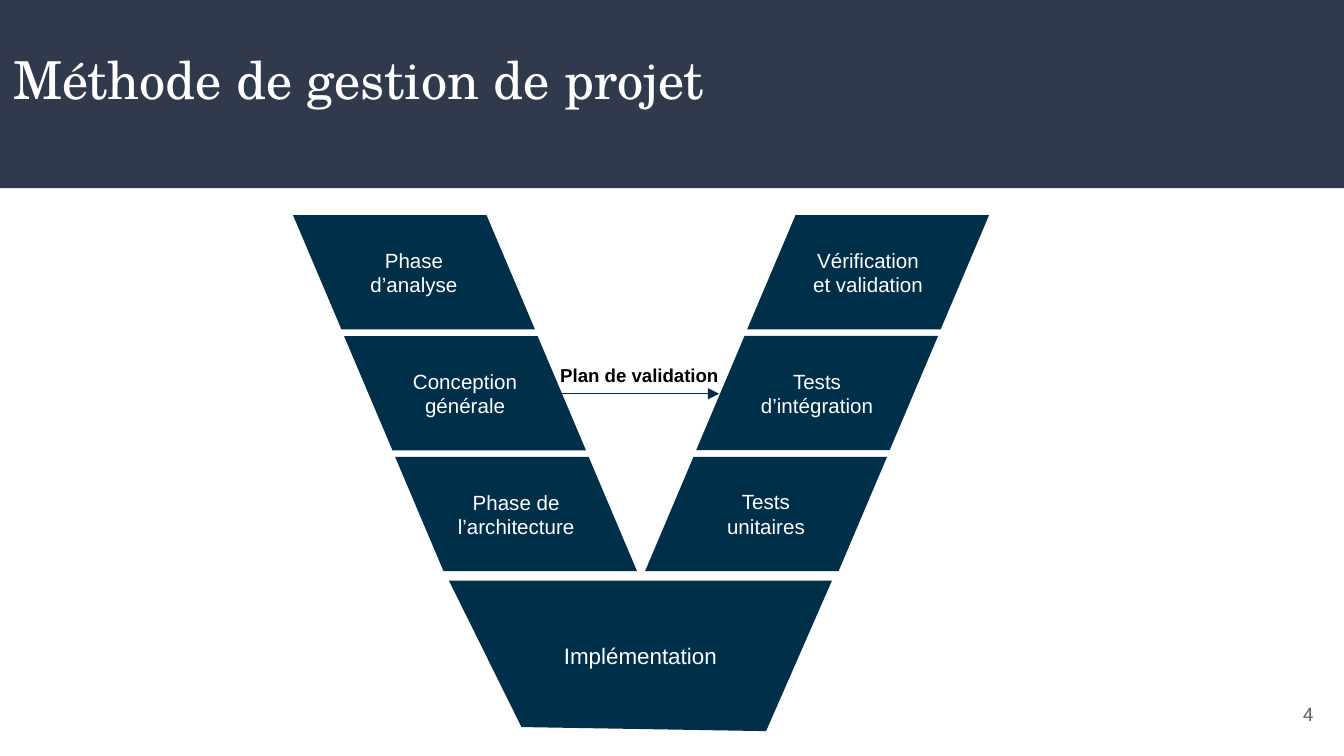
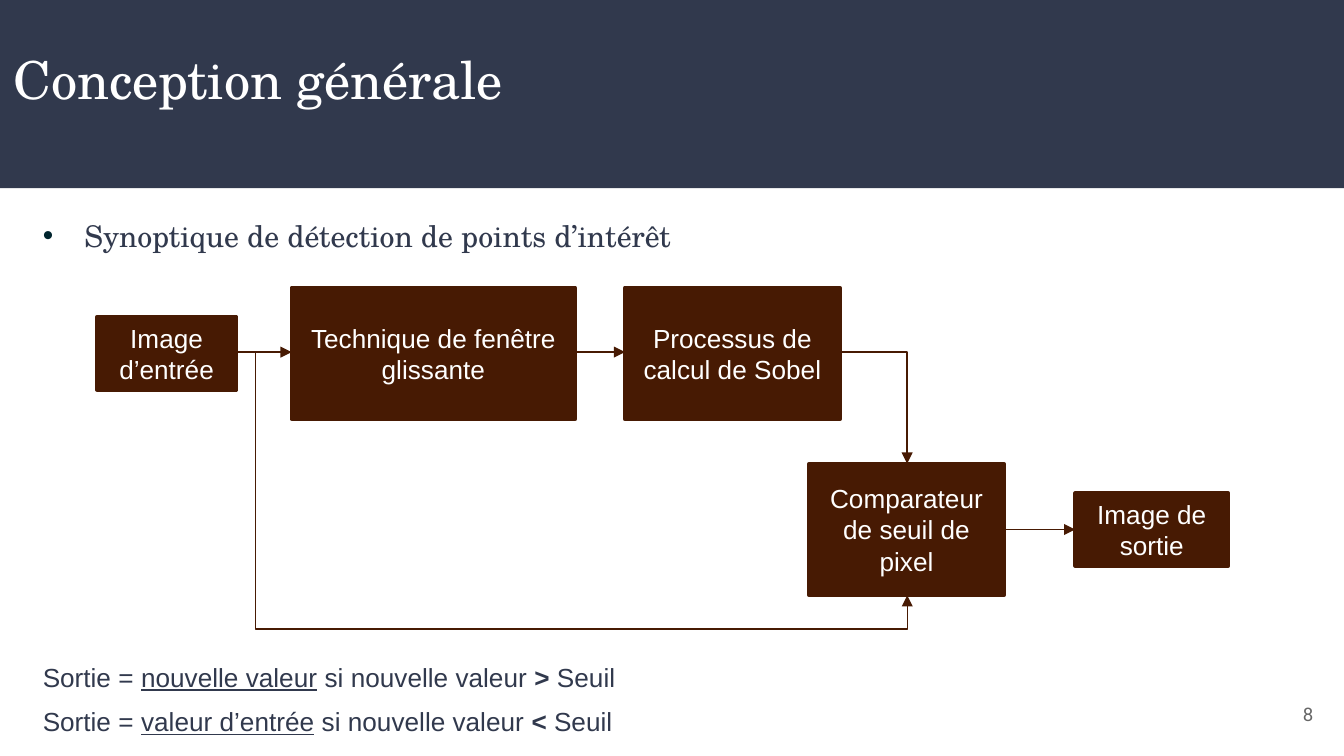
from lxml import etree
from pptx import Presentation
from pptx.dml.color import RGBColor
from pptx.enum.shapes import MSO_CONNECTOR as Connector, MSO_SHAPE as Shape
from pptx.enum.text import MSO_ANCHOR as Anchor, MSO_AUTO_SIZE as AutoSize, PP_ALIGN as Align
from pptx.oxml.ns import qn
from pptx.util import Inches, Pt

rgb = RGBColor.from_string
NAVY, WHITE, GREY, BLACK = "31394D", "FFFFFF", "666666", "000000"
V_BLUE, ARROW_BLUE, BROWN, BULLET = "002F4A", "002E48", "471A03", "00252E"
SERIF, SANS, NUMBER_FONT = "TeX Gyre Schola", "Arial", "Roboto"


def write(box, spans, size, color, font=SANS, align=Align.LEFT,
          anchor=Anchor.TOP, inset=0.05, wrap=True):
    """Fill a shape with one paragraph of (text, style) spans; style is "", "b" or "u"."""
    frame = box.text_frame
    frame.auto_size = AutoSize.NONE
    frame.word_wrap = wrap
    frame.vertical_anchor = anchor
    frame.margin_left = frame.margin_right = Inches(0.1)
    frame.margin_top = frame.margin_bottom = Inches(inset)
    para = frame.paragraphs[0]
    para.alignment = align
    for text, style in spans:
        span = para.add_run()
        span.text = text
        span.font.name = font
        span.font.size = Pt(size)
        span.font.color.rgb = rgb(color)
        span.font.bold = style == "b"
        span.font.underline = style == "u"
    return para


def add_arrow(shapes, kind, start, end, color):
    points = [Inches(value) for value in (*start, *end)]
    arrow = shapes.add_connector(kind, *points)
    arrow.line.color.rgb = rgb(color)
    arrow.line.width = Pt(0.75)
    properties = arrow.element.spPr
    etree.SubElement(properties.find(qn("a:ln")), qn("a:tailEnd"), type="triangle")
    etree.SubElement(properties, qn("a:effectLst"))
    return arrow


# Widescreen deck, 16:9
deck = Presentation()
deck.slide_width, deck.slide_height = Inches(10), Inches(10 * 9 / 16)
layout = deck.slide_layouts[5]

# Titles and page numbers
pages = []
for heading, number in [("Méthode de gestion de projet", "4"), ("Conception générale", "8")]:
    page = deck.slides.add_slide(layout)
    title = page.shapes.title
    title.left, title.top = Inches(0), Inches(0.25)
    title.width, title.height = Inches(10), Inches(0.98)
    write(title, [(heading, "")], 28, WHITE, SERIF, inset=0.1)
    box = page.shapes.add_textbox(Inches(9.27), Inches(5.1), Inches(0.6), Inches(0.43))
    write(box, [(number, "")], 10, GREY, NUMBER_FONT, Align.RIGHT, Anchor.MIDDLE, 0.1)
    pages.append(page)
method, design = pages

# Title band, moved to the back of the shared layout
band = method.shapes.add_shape(Shape.RECTANGLE, 0, 0, Inches(10), Inches(1.4))
band.shadow.inherit = False
band.fill.solid()
band.fill.fore_color.rgb = rgb(NAVY)
band.line.fill.background()
layout.shapes.element.insert(2, band.element)

# Slide 1: V cycle, descending phases on the left and tests on the right
cycle = method.shapes.add_group_shape().shapes
phases = ["Phase d’analyse", "Conception générale", "Phase de l’architecture"]
tests = ["Vérification et validation", "Tests d’intégration", "Tests unitaires"]
blocks = []
for labels, first_left, step, mirrored in [(phases, 2.18, 0.38, True),
                                           (tests, 5.56, -0.38, False)]:
    for row, label in enumerate(labels):
        block = cycle.add_shape(Shape.FLOWCHART_DATA, Inches(first_left + step * row),
                                Inches(1.6 + 0.9 * row), Inches(1.8), Inches(0.85))
        if mirrored:
            block.rotation = 180
            block.element.spPr.find(qn("a:xfrm")).set("flipV", "1")
        blocks.append((block, label, 11))

# Base of the V
corners = [(Inches(x), Inches(y)) for x, y in
           [(3.88, 5.41), (3.34, 4.32), (6.19, 4.32), (5.7, 5.44)]]
outline = cycle.build_freeform(*corners[0])
outline.add_line_segments(corners[1:], close=True)
blocks.append((outline.convert_to_shape(), "Implémentation", 12))

for block, label, size in blocks:
    block.shadow.inherit = False
    block.fill.solid()
    block.fill.fore_color.rgb = rgb(V_BLUE)
    block.line.fill.background()
    write(block, [(label, "")], size, WHITE, align=Align.CENTER, anchor=Anchor.MIDDLE)

# Link between design and integration tests
add_arrow(cycle, Connector.STRAIGHT, (4.18, 2.93), (5.35, 2.93), ARROW_BLUE)
box = cycle.add_textbox(Inches(4.07), Inches(2.66), Inches(1.39), Inches(0.27))
write(box, [("Plan de validation", "b")], 10, BLACK, wrap=False)

# Slide 2: bulleted heading
box = design.shapes.add_textbox(Inches(0.22), Inches(1.52), Inches(5.6), Inches(0.43))
para = write(box, [("Synoptique de détection de points d’intérêt", "")], 16, NAVY, SERIF, inset=0.1)
bullet = para._p.get_or_add_pPr()
bullet.set("marL", str(Inches(0.31)))
bullet.set("indent", str(-Inches(0.31)))
bullet_color = etree.SubElement(bullet, qn("a:buClr"))
etree.SubElement(bullet_color, qn("a:srgbClr"), val=BULLET)
etree.SubElement(bullet, qn("a:buFont"), typeface=SANS)
etree.SubElement(bullet, qn("a:buChar"), char="•")

# Processing steps
steps = [
    ("Image d’entrée", 0.72, 2.36, 1.04, 0.54),
    ("Technique de fenêtre glissante", 2.17, 2.14, 2.11, 0.98),
    ("Processus de calcul de Sobel", 4.65, 2.14, 1.6, 0.98),
    ("Comparateur de seuil de pixel", 6.02, 3.45, 1.45, 0.98),
    ("Image de sortie", 8, 3.67, 1.14, 0.54),
]
for label, *place in steps:
    step_box = design.shapes.add_shape(Shape.RECTANGLE, *[Inches(value) for value in place])
    step_box.shadow.inherit = False
    step_box.fill.solid()
    step_box.fill.fore_color.rgb = rgb(BROWN)
    step_box.line.color.rgb = rgb(BROWN)
    step_box.line.width = Pt(2)
    write(step_box, [(label, "")], 14, WHITE, align=Align.CENTER, anchor=Anchor.MIDDLE)

# Level arrows between neighbouring steps
for left, right, height in [(1.76, 2.17, 2.62), (4.28, 4.65, 2.62), (7.47, 8, 3.94)]:
    add_arrow(design.shapes, Connector.STRAIGHT, (left, height), (right, height), BROWN)

# Bent arrows into the comparator
for start, end, preset, bends in [
    ((1.76, 2.62), (6.75, 4.43), "bentConnector4", [2800, 113900]),
    ((6.25, 2.62), (6.75, 3.45), "bentConnector2", []),
]:
    arrow = add_arrow(design.shapes, Connector.ELBOW, start, end, BROWN)
    geometry = arrow.element.spPr.find(qn("a:prstGeom"))
    geometry.set("prst", preset)
    for index, bend in enumerate(bends, 1):
        etree.SubElement(geometry.find(qn("a:avLst")), qn("a:gd"),
                         name=f"adj{index}", fmla=f"val {bend}")

# Output rules
for top, value, sign in [(4.87, "nouvelle valeur", ">"), (5.2, "valeur d’entrée", "<")]:
    box = design.shapes.add_textbox(Inches(0.22), Inches(top), Inches(5.1), Inches(0.34))
    write(box, [("Sortie = ", ""), (value, "u"), (" si nouvelle valeur ", ""),
                (sign, "b"), (" Seuil", "")], 14, NAVY)

deck.save("out.pptx")
